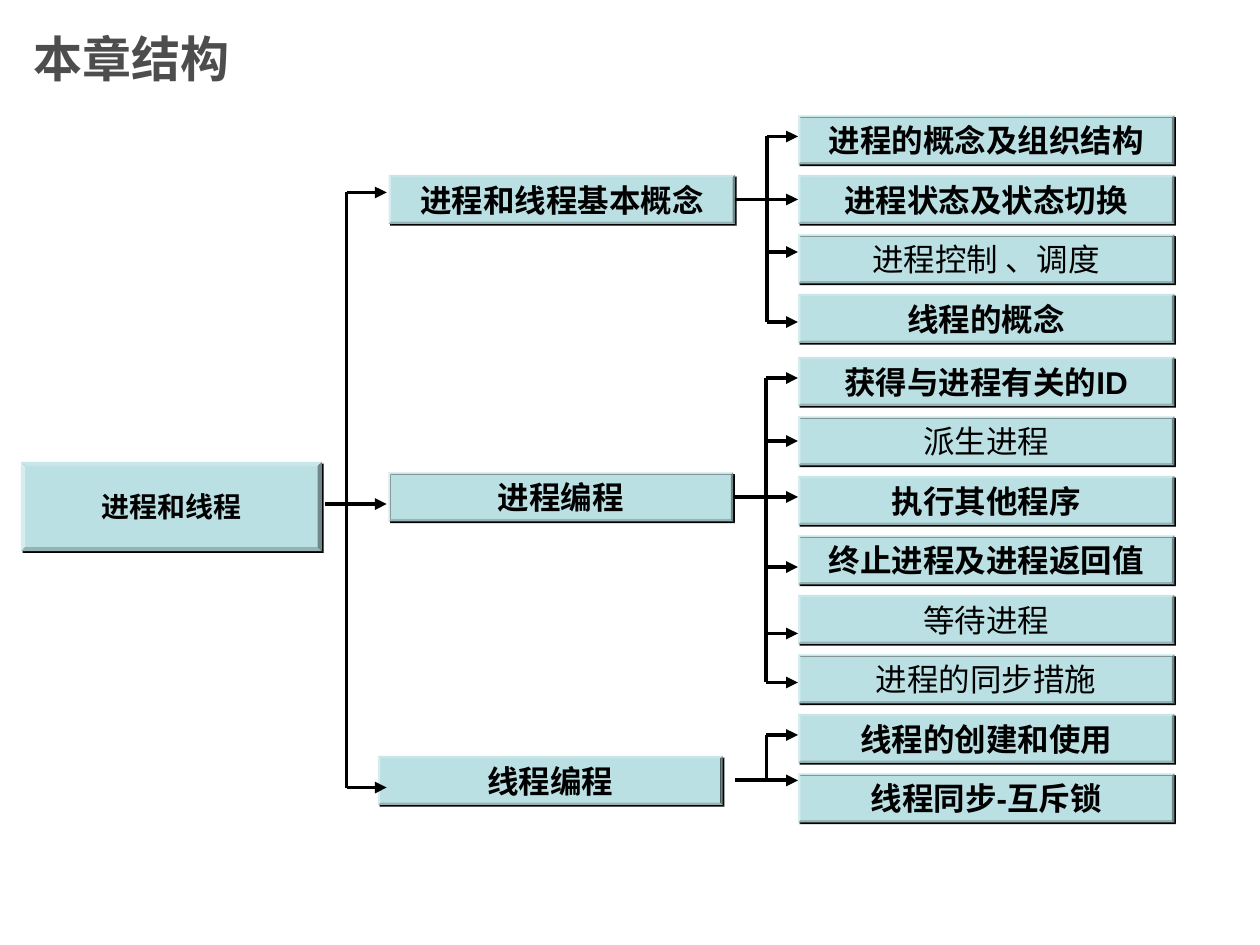
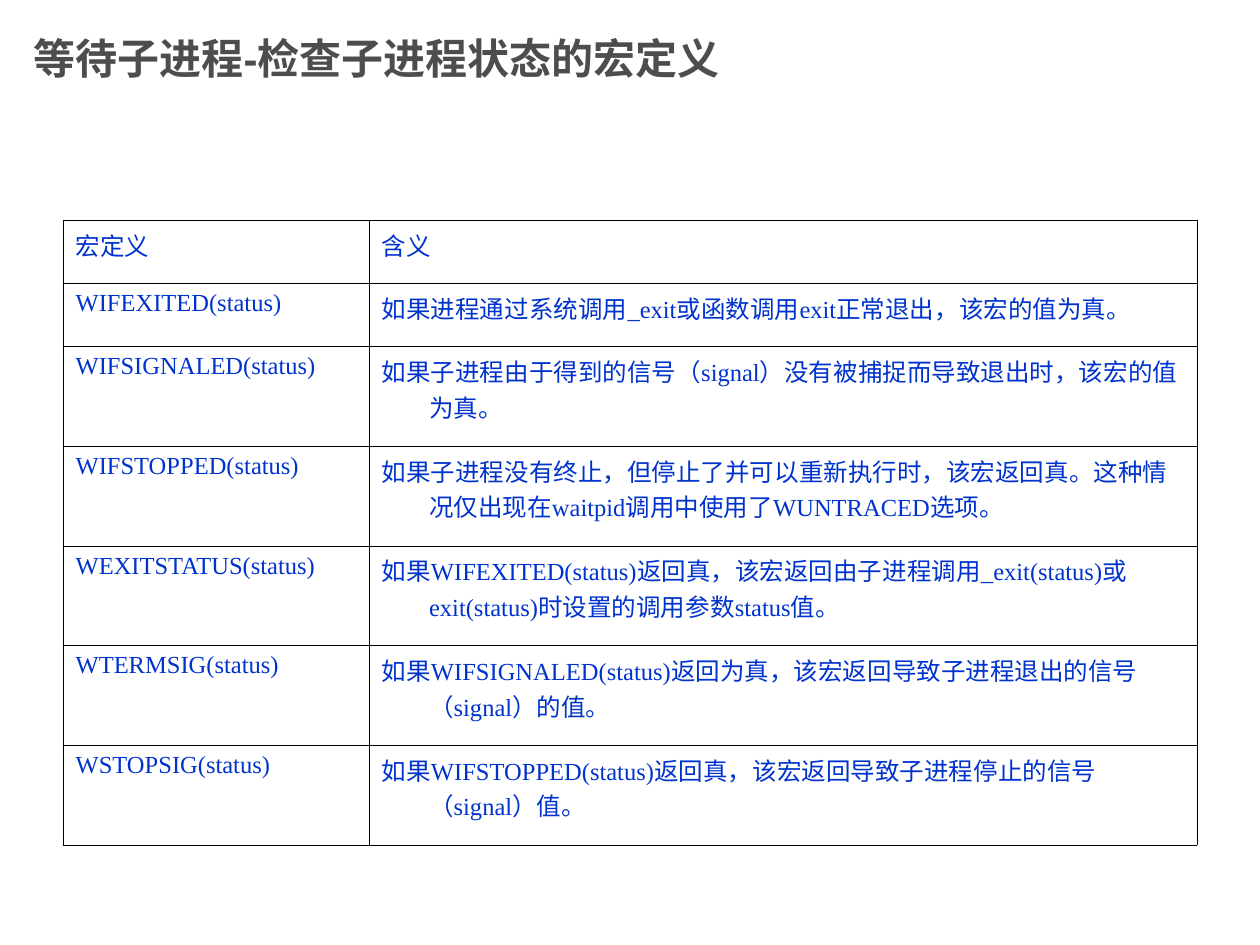
from dataclasses import dataclass

from lxml import etree
from pptx import Presentation
from pptx.dml.color import RGBColor
from pptx.enum.shapes import MSO_CONNECTOR, MSO_SHAPE
from pptx.enum.text import MSO_ANCHOR, MSO_AUTO_SIZE, PP_ALIGN
from pptx.oxml.ns import qn
from pptx.util import Pt

BEVEL = MSO_SHAPE.BEVEL
STRAIGHT = MSO_CONNECTOR.STRAIGHT
MIDDLE = MSO_ANCHOR.MIDDLE
LEFT, CENTER = PP_ALIGN.LEFT, PP_ALIGN.CENTER
NO_AUTOFIT = MSO_AUTO_SIZE.NONE


@dataclass(frozen=True)
class Theme:
    title: str = "4D4D4D"
    box: str = "BBE0E3"
    ink: str = "000000"
    table_text: str = "0033CC"
    font: str = "Arial"
    root_font: str = "Arial Narrow"
    table_font: str = "Times New Roman"
    root_size: int = 16
    box_size: int = 18
    table_size: int = 14
    line: float = 2.25
    border: float = 0.45


THEME = Theme()

# ---- Content: chapter structure ----
STRUCTURE_TITLE = "本章结构"
ROOT = "进程和线程"
# Each branch: name, box (left, top, width), y of the arrow into it, x of its
# stem, y of the arrow out of it, top of its first leaf,
# and its leaves as (text, bold, y of the arrow).
BRANCHES = [
    ("进程和线程基本概念", (222, 100, 198), 110, 438.5, 114, 66, [
        ("进程的概念及组织结构", True, 78),
        ("进程状态及状态切换", True, 114),
        ("进程控制 、调度", False, 144),
        ("线程的概念", True, 184),
    ]),
    ("进程编程", (222, 270, 197), 288, 437.5, 284, 204, [
        ("获得与进程有关的ID", True, 216),
        ("派生进程", False, 252),
        ("执行其他程序", True, 284),
        ("终止进程及进程返回值", True, 324),
        ("等待进程", False, 362),
        ("进程的同步措施", False, 390),
    ]),
    ("线程编程", (216, 432, 197), 450, 438, 446, 408, [
        ("线程的创建和使用", True, 420),
        ("线程同步-互斥锁", True, 446),
    ]),
]

# ---- Content: macro table ----
MACRO_TITLE = "等待子进程-检查子进程状态的宏定义"
MACROS = [
    ("宏定义", "含义"),
    ("WIFEXITED(status)",
     "如果进程通过系统调用_exit或函数调用exit正常退出，该宏的值为真。"),
    ("WIFSIGNALED(status)",
     "如果子进程由于得到的信号（signal）没有被捕捉而导致退出时，该宏的值为真。"),
    ("WIFSTOPPED(status)",
     "如果子进程没有终止，但停止了并可以重新执行时，该宏返回真。"
     "这种情况仅出现在waitpid调用中使用了WUNTRACED选项。"),
    ("WEXITSTATUS(status)",
     "如果WIFEXITED(status)返回真，该宏返回由子进程调用_exit(status)"
     "或exit(status)时设置的调用参数status值。"),
    ("WTERMSIG(status)",
     "如果WIFSIGNALED(status)返回为真，该宏返回导致子进程退出的信号（signal）的值。"),
    ("WSTOPSIG(status)",
     "如果WIFSTOPPED(status)返回真，该宏返回导致子进程停止的信号（signal）值。"),
]

# ---- Layout, in points ----
ROOT_BOX = (12, 264, 172, 51)
BOX_HEIGHT = 28
LEAF_LEFT, LEAF_WIDTH, LEAF_PITCH = 456, 215, 34
TRUNK_X, TRUNK_START = 198, 186
BRANCH_ARROW_END, BRANCH_OUT = 221, 420
TABLE_LEFT, TABLE_TOP = 36, 126
COL_WIDTHS = (175, 473)
ROW_HEIGHTS = (36, 36) + (57,) * 5
HANGING = 27


def rgb(color):
    return RGBColor.from_string(color)


def style_runs(p, font, size, color, bold=False):
    for r in p.runs:
        r.font.name = font
        r.font.size = Pt(size)
        r.font.bold = bold
        r.font.color.rgb = rgb(color)


def add_slide(prs, title, size):
    slide = prs.slides.add_slide(prs.slide_layouts[5])
    sp = slide.shapes.title
    sp.left, sp.top, sp.width, sp.height = Pt(12), Pt(0), Pt(540), Pt(66)
    tf = sp.text_frame
    tf.text = title
    tf.auto_size = NO_AUTOFIT
    tf.vertical_anchor = MIDDLE
    p = tf.paragraphs[0]
    p.alignment = LEFT
    style_runs(p, THEME.font, size, THEME.title, True)
    return slide


def add_box(slide, text, box, bold=True, font=THEME.font, size=THEME.box_size):
    """Bevelled box with a hard shadow and a centred label."""
    sp = slide.shapes.add_shape(BEVEL, *map(Pt, box))
    sp.adjustments[0] = 0.047
    sp.fill.solid()
    sp.fill.fore_color.rgb = rgb(THEME.box)
    sp.line.fill.background()
    sp.shadow.inherit = False
    effects = sp.element.spPr.find(qn("a:effectLst"))
    shadow = etree.SubElement(effects, qn("a:outerShdw"), blurRad="0",
                              dist=str(Pt(1.4)), dir="2700000",
                              algn="ctr", rotWithShape="0")
    etree.SubElement(shadow, qn("a:srgbClr"), val=THEME.ink)
    tf = sp.text_frame
    tf.text = text
    tf.word_wrap = False
    tf.vertical_anchor = MIDDLE
    p = tf.paragraphs[0]
    p.alignment = CENTER
    style_runs(p, font, size, THEME.ink, bold)


def add_line(slide, x1, y1, x2, y2, arrow=False):
    line = slide.shapes.add_connector(STRAIGHT, *map(Pt, (x1, y1, x2, y2)))
    line.line.color.rgb = rgb(THEME.ink)
    line.line.width = Pt(THEME.line)
    props = line.element.spPr
    if arrow:
        etree.SubElement(props.find(qn("a:ln")), qn("a:tailEnd"), type="triangle")
    etree.SubElement(props, qn("a:effectLst"))


def add_arrow(slide, x1, x2, y):
    add_line(slide, x1, y, x2, y, arrow=True)


def build_structure(prs):
    slide = add_slide(prs, STRUCTURE_TITLE, 28)
    add_box(slide, ROOT, ROOT_BOX, font=THEME.root_font, size=THEME.root_size)
    entries = [branch[2] for branch in BRANCHES]
    add_line(slide, TRUNK_X, entries[0], TRUNK_X, entries[-1])

    for name, box, entry_y, stem_x, out_y, leaf_top, leaves in BRANCHES:
        add_box(slide, name, (*box, BOX_HEIGHT))
        start = TRUNK_START if name == BRANCHES[1][0] else TRUNK_X
        add_arrow(slide, start, BRANCH_ARROW_END, entry_y)
        add_line(slide, stem_x, leaves[0][2], stem_x, leaves[-1][2])
        for i, (text, bold, y) in enumerate(leaves):
            top = leaf_top + i * LEAF_PITCH
            add_box(slide, text, (LEAF_LEFT, top, LEAF_WIDTH, BOX_HEIGHT), bold)
            add_arrow(slide, BRANCH_OUT if y == out_y else stem_x, LEAF_LEFT, y)


def add_borders(cell):
    props = cell._tc.get_or_add_tcPr()
    for i, side in enumerate(("lnL", "lnR", "lnT", "lnB")):
        ln = etree.Element(qn("a:" + side), w=str(Pt(THEME.border)))
        fill = etree.SubElement(ln, qn("a:solidFill"))
        etree.SubElement(fill, qn("a:srgbClr"), val=THEME.ink)
        props.insert(i, ln)


def build_macros(prs):
    slide = add_slide(prs, MACRO_TITLE, 24)
    frame = slide.shapes.add_table(
        len(MACROS), len(COL_WIDTHS), Pt(TABLE_LEFT), Pt(TABLE_TOP),
        Pt(sum(COL_WIDTHS)), Pt(sum(ROW_HEIGHTS)))
    table = frame.table
    table.first_row = table.horz_banding = False
    for column, width in zip(table.columns, COL_WIDTHS):
        column.width = Pt(width)
    for row, height, texts in zip(table.rows, ROW_HEIGHTS, MACROS):
        row.height = Pt(height)
        for cell, text in zip(row.cells, texts):
            cell.text_frame.text = text
            cell.fill.background()
            add_borders(cell)
            p = cell.text_frame.paragraphs[0]
            indent = p._p.get_or_add_pPr()
            indent.set("marL", str(Pt(HANGING)))
            indent.set("indent", str(-Pt(HANGING)))
            style_runs(p, THEME.table_font, THEME.table_size, THEME.table_text)


def main():
    prs = Presentation()
    prs.slide_width, prs.slide_height = Pt(720), Pt(540)
    build_structure(prs)
    build_macros(prs)
    prs.save("out.pptx")


if __name__ == "__main__":
    main()
